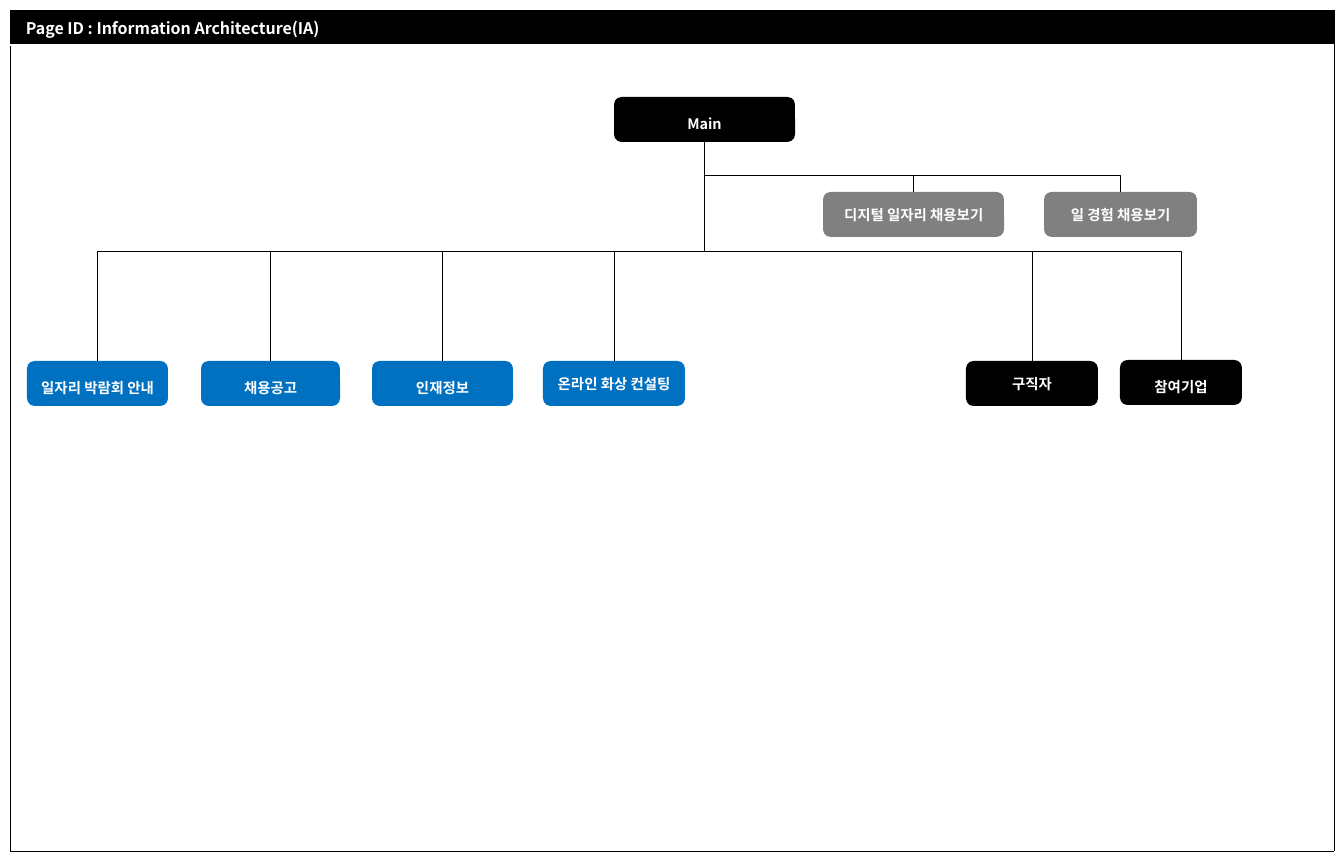
from dataclasses import dataclass

from lxml import etree
from pptx import Presentation
from pptx.dml.color import RGBColor
from pptx.enum.shapes import MSO_CONNECTOR, MSO_SHAPE
from pptx.enum.text import MSO_ANCHOR, PP_ALIGN
from pptx.oxml.ns import qn
from pptx.util import Pt

EMU_PER_PX = 7937.5
ROUNDED = MSO_SHAPE.ROUNDED_RECTANGLE
ELBOW = MSO_CONNECTOR.ELBOW
MIDDLE = MSO_ANCHOR.MIDDLE
LEFT, CENTER = PP_ALIGN.LEFT, PP_ALIGN.CENTER
TOP_SITE, BOTTOM_SITE = 0, 2
BLANK = 6


@dataclass(frozen=True)
class Theme:
    font: str = "Noto Sans CJK KR"
    black: str = "000000"
    white: str = "FFFFFF"
    blue: str = "0070C0"
    gray: str = "808080"
    title_size: float = 10
    node_size: float = 9
    hairline: float = 0.25
    divider: float = 1


THEME = Theme()

FRAME_LEFT, FRAME_TOP, FRAME_WIDTH = 10, 10, 1324
HEADER_HEIGHT, BODY_HEIGHT = 35, 806
NODE_HEIGHT = 45
MENU_TOP, SHORTCUT_TOP = 361, 192
MENU_BEND, SHORTCUT_BEND = 0.5, 0.668

# text, left, top, width, fill, line spacing
MAIN = ("Main", 614, 97, 181, THEME.black, 1.5)
MENUS = [
    ("일자리 박람회 안내", 27, MENU_TOP, 141, THEME.blue, 1.5),
    ("채용공고", 201, MENU_TOP, 139, THEME.blue, 1.5),
    ("인재정보", 372, MENU_TOP, 141, THEME.blue, 1.5),
    ("온라인 화상 컨설팅", 543, MENU_TOP, 142, THEME.blue, 1.0),
    ("구직자", 966, MENU_TOP, 132, THEME.black, 1.0),
    ("참여기업", 1120, MENU_TOP - 1, 122, THEME.black, 1.5),
]
SHORTCUTS = [
    ("디지털 일자리 채용보기", 823, SHORTCUT_TOP, 181, THEME.gray, 1.0),
    ("일 경험 채용보기", 1044, SHORTCUT_TOP, 153, THEME.gray, 1.0),
]


def px(length):
    return round(length * EMU_PER_PX)


def assign(target, values):
    for name, value in values.items():
        setattr(target, name, value)


def paint(fill, color):
    fill.solid()
    fill.fore_color.rgb = RGBColor.from_string(color)


def write(frame, text, size, align, spacing=1.0):
    """Put one bold white line of text in a text frame."""
    frame.text = text
    line = frame.paragraphs[0]
    assign(line, {"alignment": align, "line_spacing": spacing})
    font = line.runs[0].font
    assign(font, {"name": THEME.font, "size": Pt(size), "bold": True})
    font.color.rgb = RGBColor.from_string(THEME.white)
    east_asian = etree.SubElement(font._element, qn("a:ea"))
    east_asian.set("typeface", THEME.font)


def add_border(cell, side, color, width):
    cell_format = cell._tc.get_or_add_tcPr()
    border = etree.SubElement(cell_format, qn(f"a:ln{side}"), w=str(Pt(width)))
    fill = etree.SubElement(border, qn("a:solidFill"))
    etree.SubElement(fill, qn("a:srgbClr"), val=color)


def add_page_frame(slide, title):
    """Add the two-row table that holds the title and outlines the page."""
    table = slide.shapes.add_table(
        2, 1, px(FRAME_LEFT), px(FRAME_TOP), px(FRAME_WIDTH),
        px(HEADER_HEIGHT + BODY_HEIGHT)).table
    assign(table, {"first_row": False, "horz_banding": False})
    outline = (THEME.black, THEME.hairline)
    divider = (THEME.white, THEME.divider)
    rows = [(HEADER_HEIGHT, outline, divider), (BODY_HEIGHT, divider, outline)]
    for index, (height, top, bottom) in enumerate(rows):
        table.rows[index].height = px(height)
        borders = {"L": outline, "R": outline, "T": top, "B": bottom}
        for side, border in borders.items():
            add_border(table.cell(index, 0), side, *border)
    header, body = table.cell(0, 0), table.cell(1, 0)
    assign(header, {"margin_left": px(16), "margin_right": px(5),
                    "margin_top": px(5), "margin_bottom": px(5),
                    "vertical_anchor": MIDDLE})
    write(header.text_frame, title, THEME.title_size, LEFT)
    paint(header.fill, THEME.black)
    body.fill.background()


def add_node(slide, text, left, top, width, color, spacing):
    node = slide.shapes.add_shape(
        ROUNDED, px(left), px(top), px(width), px(NODE_HEIGHT))
    node.shadow.inherit = False
    node.line.fill.background()
    paint(node.fill, color)
    assign(node.text_frame, {"word_wrap": False, "vertical_anchor": MIDDLE})
    write(node.text_frame, text, THEME.node_size, CENTER, spacing)
    return node


def add_branch(slide, parent, child, bend):
    """Link parent bottom to child top; bend is the share of the drop above the turn."""
    start_x, start_y = parent.left + parent.width // 2, parent.top + parent.height
    end_x, end_y = child.left + child.width // 2, child.top
    branch = slide.shapes.add_connector(ELBOW, start_x, start_y, end_x, end_y)
    branch.begin_connect(parent, BOTTOM_SITE)
    branch.end_connect(child, TOP_SITE)

    # A quarter turn makes the elbow leave and arrive vertically.
    drop, span = end_y - start_y, abs(end_x - start_x)
    assign(branch, {"left": (start_x + end_x - drop) // 2,
                    "top": (start_y + end_y - span) // 2,
                    "width": drop, "height": span})
    goes_right = end_x > start_x
    properties = branch._element.spPr
    assign(properties.xfrm, {"rot": 270 if goes_right else 90,
                             "flipH": goes_right, "flipV": False})
    geometry = properties.find(qn("a:prstGeom"))
    etree.SubElement(geometry.find(qn("a:avLst")), qn("a:gd"),
                     name="adj1", fmla=f"val {round(bend * 100000)}")
    branch.line.width = Pt(THEME.hairline)
    paint(branch.line.fill, THEME.black)
    etree.SubElement(properties, qn("a:effectLst"))


def main():
    deck = Presentation()
    assign(deck, {"slide_width": px(1344), "slide_height": px(864)})
    slide = deck.slides.add_slide(deck.slide_layouts[BLANK])
    add_page_frame(slide, "Page ID : Information Architecture(IA)")
    main_page = add_node(slide, *MAIN)
    for pages, bend in ((MENUS, MENU_BEND), (SHORTCUTS, SHORTCUT_BEND)):
        for page in pages:
            add_branch(slide, main_page, add_node(slide, *page), bend)
    deck.save("out.pptx")


if __name__ == "__main__":
    main()
